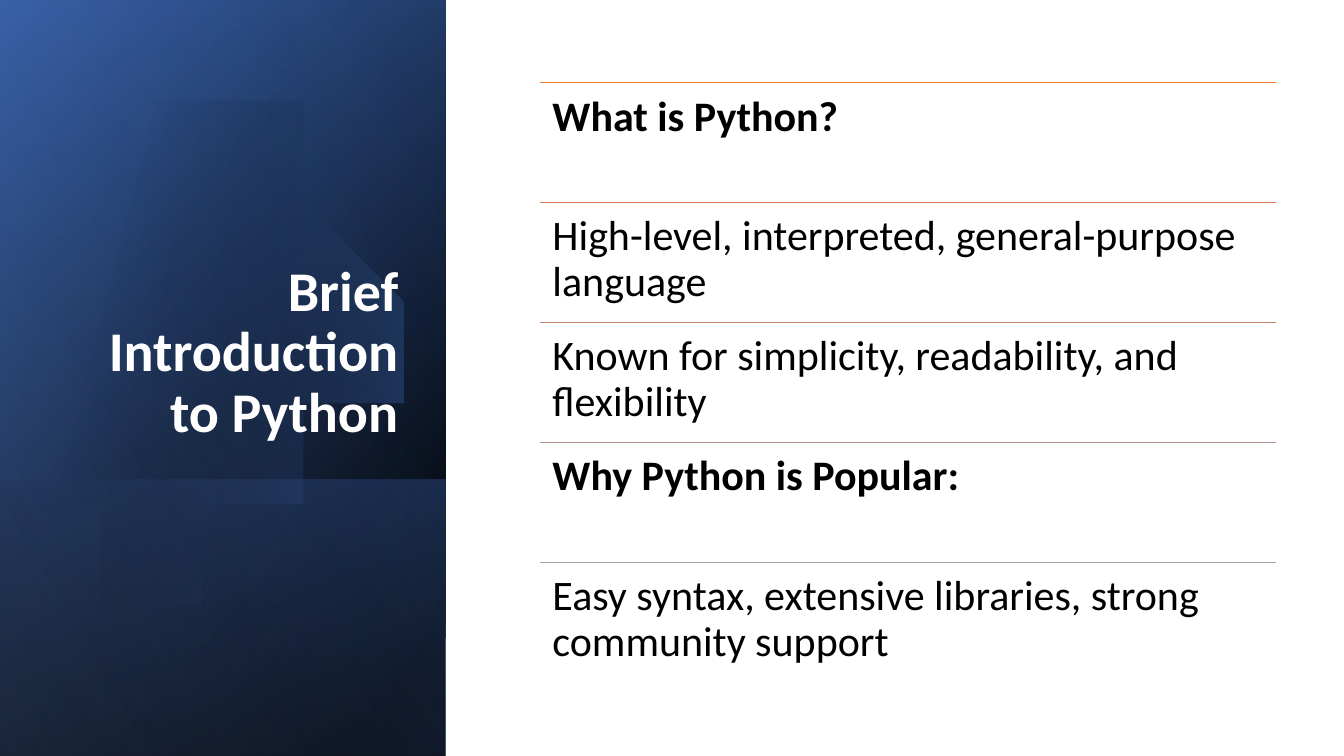
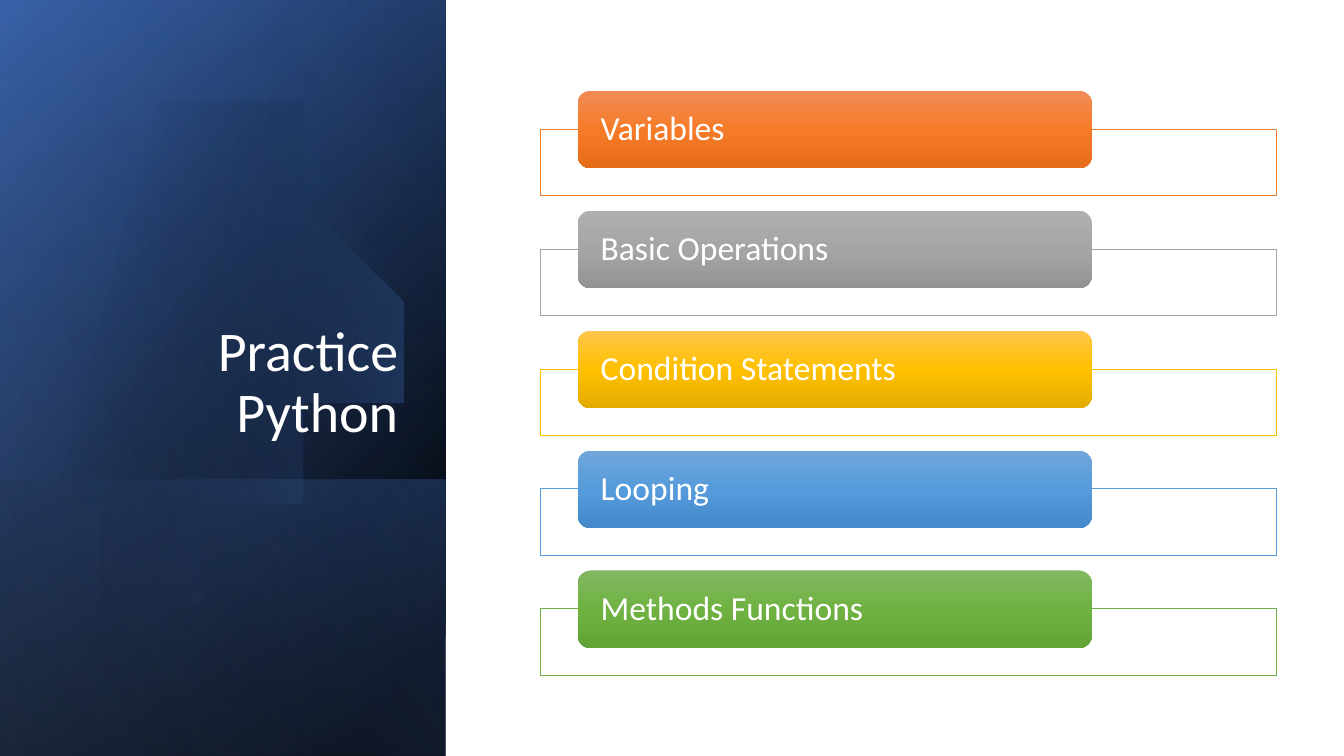
from lxml import etree
from pptx import Presentation
from pptx.dml.color import RGBColor
from pptx.enum.shapes import MSO_CONNECTOR, MSO_SHAPE
from pptx.enum.text import MSO_ANCHOR, MSO_AUTO_SIZE, PP_ALIGN
from pptx.oxml.ns import qn
from pptx.util import Inches, Pt

RECT, ROUNDED = MSO_SHAPE.RECTANGLE, MSO_SHAPE.ROUNDED_RECTANGLE
STRAIGHT = MSO_CONNECTOR.STRAIGHT
LEFT, RIGHT = PP_ALIGN.LEFT, PP_ALIGN.RIGHT
TOP, MIDDLE, BOTTOM = MSO_ANCHOR.TOP, MSO_ANCHOR.MIDDLE, MSO_ANCHOR.BOTTOM

FONT = "Calibri"
BLACK, WHITE, BLUE, NAVY, PALE_BLUE = "000000", "FFFFFF", "4472C4", "2F5597", "8FAADC"
TITLE_LAYOUT = 5

# Side panel: frame before the quarter turn, gradient stops (%, colour, opacity %), angle
PANEL = (-1.54, 1.54, 7.5, 4.42)
BASE_BANDS = [
    (PANEL, [(8, BLACK, 100), (100, NAVY, 100)], 50),
    (PANEL, [(0, BLACK, 0), (99, BLUE, 46)], 30),
    ((0.84, 3.92, 2.74, 4.42), [(2, BLUE, 29), (100, BLACK, 30)], 130),
]
SHEEN = (PANEL, [(0, BLACK, 0), (99, PALE_BLUE, 11)], 120)

# Cut circle: each curve has two control points and an end point
DISC_START = (1.49, 1.1)
DISC_CURVES = [
    [(2.46, 1.12), (3.35, 1.77), (3.63, 2.75)],
    [(3.98, 3.97), (3.28, 5.23), (2.07, 5.58)],
    [(1.31, 5.8), (0.53, 5.61), (-0.03, 5.14)],
    [(-0.03, 5.14), (-0.15, 5.03), (-0.15, 5.03)],
    [(-0.15, 5.03), (-0.15, 1.75), (-0.15, 1.75)],
    [(-0.15, 1.75), (0, 1.61), (0, 1.61)],
    [(0.23, 1.42), (0.5, 1.28), (0.8, 1.19)],
    [(1.03, 1.13), (1.26, 1.1), (1.49, 1.1)],
]
CURVE_STEPS = 16

# Rows on the right
ROW_LEFT, ROW_WIDTH, ROW_TOP, ROW_PITCH = 5.36, 7.3, 0.82, 1.19

FACTS = [
    ("What is Python?", True, "ED7D31"),
    ("High-level, interpreted, general-purpose language", False, "D87A51"),
    ("Known for simplicity, readability, and flexibility", False, "C48170"),
    ("Why Python is Popular:", True, "B4908B"),
    ("Easy syntax, extensive libraries, strong community support", False, "A5A5A5"),
]
TOPICS = [
    ("Variables", "ED7D31", ["F18C57", "F67B28", "E56C19"]),
    ("Basic Operations", "A5A5A5", ["AFAFAF", "A5A5A5", "939393"]),
    ("Condition Statements", "FFC000", ["FFC64B", "FFC000", "E3AB00"]),
    ("Looping", "5B9BD5", ["71A6DB", "559BDB", "448ACA"]),
    ("Methods Functions", "70AD47", ["81B861", "6FB242", "62A336"]),
]


def paint(shape, stops=(), angle=0, line=None):
    """Fill with colour stops (one stop is a solid fill), set the outline, drop the shadow."""
    props = shape._element.spPr
    if line:
        shape.line.color.rgb = RGBColor.from_string(line)
        shape.line.width = Pt(0.5)
    else:
        shape.line.fill.background()
    if stops:
        shape.fill.background()
        fill = etree.Element(qn("a:gradFill" if len(stops) > 1 else "a:solidFill"))
        holder = fill
        if len(stops) > 1:
            fill.set("rotWithShape", "1")
            stop_list = etree.SubElement(fill, qn("a:gsLst"))
            etree.SubElement(fill, qn("a:lin"), ang=str(angle * 60000), scaled="0")
        for position, color, opacity in stops:
            if len(stops) > 1:
                holder = etree.SubElement(stop_list, qn("a:gs"), pos=str(position * 1000))
            tint = etree.SubElement(holder, qn("a:srgbClr"), val=color)
            etree.SubElement(tint, qn("a:alpha"), val=str(opacity * 1000))
        props.replace(props.find(qn("a:noFill")), fill)
    etree.SubElement(props, qn("a:effectLst"))


def write(shape, text, size, color=BLACK, bold=False, align=LEFT, anchor=TOP, insets=(0.1, 0.05)):
    frame = shape.text_frame
    frame.word_wrap = True
    frame.auto_size = MSO_AUTO_SIZE.NONE
    frame.vertical_anchor = anchor
    frame.margin_left = frame.margin_right = Inches(insets[0])
    frame.margin_top = frame.margin_bottom = Inches(insets[1])
    frame.text = text
    paragraph = frame.paragraphs[0]
    paragraph.alignment = align
    paragraph.line_spacing = 0.9
    paragraph.font.name = FONT
    paragraph.font.size = Pt(size)
    paragraph.font.bold = bold
    paragraph.font.color.rgb = RGBColor.from_string(color)


prs = Presentation()
prs.slide_width, prs.slide_height = Inches(13.33), Inches(7.5)

# Outline of the cut circle, sampled along its curves
disc_points = []
start = DISC_START
for first, second, end in DISC_CURVES:
    for step in range(1, CURVE_STEPS + 1):
        t = step / CURVE_STEPS
        u = 1 - t
        disc_points.append(tuple(
            u**3 * a + 3 * u * u * t * b + 3 * u * t * t * c + t**3 * d
            for a, b, c, d in zip(start, first, second, end)))
    start = end

# Side panel and title of both slides
slides = []
for heading, heading_bold in [("Brief Introduction to Python", True), ("Practice Python", False)]:
    slide = prs.slides.add_slide(prs.slide_layouts[TITLE_LAYOUT])
    slides.append(slide)
    for box, stops, angle in BASE_BANDS + [SHEEN]:
        if (box, stops, angle) == SHEEN:
            outline = slide.shapes.build_freeform(*DISC_START, scale=Inches(1))
            outline.add_line_segments(disc_points, close=True)
            paint(outline.convert_to_shape(), [(29, BLACK, 0), (100, BLUE, 43)], 14)
        band = slide.shapes.add_shape(RECT, *map(Inches, box))
        band.rotation = 90
        band._element.spPr.xfrm.set("flipH", "1")
        paint(band, stops, angle)

    title = slide.shapes.title
    title.left, title.top, title.width, title.height = map(Inches, (0.64, 1.84, 3.41, 2.62))
    write(title, heading, 40, color=WHITE, bold=heading_bold, align=RIGHT, anchor=BOTTOM)
    # Bring the title in front of the panel
    title._element.getparent().append(title._element)

intro, practice = slides

# Introduction: ruled rows
for row, (fact, is_heading, rule_color) in enumerate(FACTS):
    top = ROW_TOP + row * ROW_PITCH
    rule = intro.shapes.add_connector(
        STRAIGHT, *map(Inches, (ROW_LEFT, top, ROW_LEFT + ROW_WIDTH, top)))
    paint(rule, line=rule_color)
    fact_box = intro.shapes.add_textbox(*map(Inches, (ROW_LEFT, top, ROW_WIDTH, ROW_PITCH)))
    write(fact_box, fact, 30, bold=is_heading, insets=(0.12, 0.12))

# Practice: a topic tab over each empty frame
for row, (topic, frame_color, shades) in enumerate(TOPICS):
    top = ROW_TOP + row * ROW_PITCH
    topic_frame = practice.shapes.add_shape(
        RECT, *map(Inches, (ROW_LEFT, top + 0.46, ROW_WIDTH, 0.66)))
    paint(topic_frame, [(0, WHITE, 90)], line=frame_color)
    tab = practice.shapes.add_shape(
        ROUNDED, *map(Inches, (ROW_LEFT + 0.37, top + 0.08, 5.1, 0.77)))
    paint(tab, [(50 * i, shade, 100) for i, shade in enumerate(shades)], 90)
    write(tab, topic, 24, color=WHITE, anchor=MIDDLE, insets=(0.19, 0))

prs.save("out.pptx")
